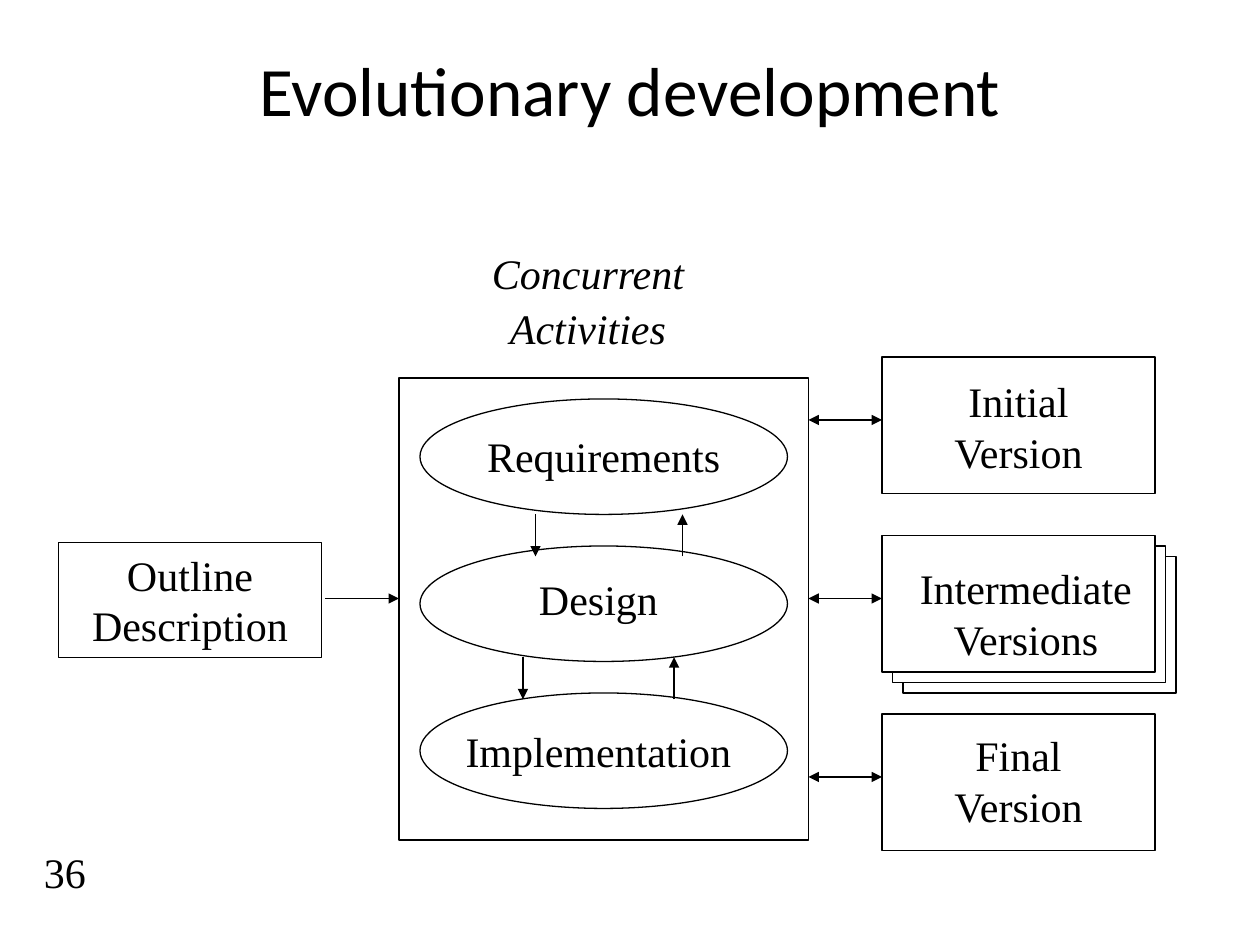
from lxml import etree
from pptx import Presentation
from pptx.dml.color import RGBColor
from pptx.enum.shapes import MSO_CONNECTOR, MSO_SHAPE
from pptx.enum.text import MSO_ANCHOR, PP_ALIGN
from pptx.oxml.ns import qn
from pptx.util import Pt

PX = 7620
BLACK = RGBColor(0, 0, 0)
WHITE = RGBColor(255, 255, 255)
SERIF, SANS = "Times New Roman", "Calibri"
RECT, OVAL = MSO_SHAPE.RECTANGLE, MSO_SHAPE.OVAL
STRAIGHT = MSO_CONNECTOR.STRAIGHT
LEFT, CENTER = PP_ALIGN.LEFT, PP_ALIGN.CENTER
TOP, MIDDLE = MSO_ANCHOR.TOP, MSO_ANCHOR.MIDDLE


def emu(*lengths):
    """Turn px lengths into EMU."""
    return [n * PX for n in lengths]


def write(sp, lines, size=24, font=SERIF, align=CENTER, anchor=TOP, italic=False, gap=0):
    """Fill a shape with one paragraph per line."""
    tf = sp.text_frame
    tf.word_wrap = True
    tf.vertical_anchor = anchor
    for i, line in enumerate(lines):
        p = tf.add_paragraph() if i else tf.paragraphs[0]
        p.text = line
        p.alignment = align
        p.font.size, p.font.name, p.font.italic = Pt(size), font, italic
        p.font.color.rgb = BLACK
        if i and gap:
            p.space_before = Pt(gap)


def label(s, box, lines, **style):
    """Add a text box."""
    write(s.shapes.add_textbox(*emu(*box)), lines, **style)


def outline(s, kind, box, fill=None):
    """Add a thin black outlined shape, filled or clear."""
    sp = s.shapes.add_shape(kind, *emu(*box))
    sp.shadow.inherit = False
    if fill is None:
        sp.fill.background()
    else:
        sp.fill.solid()
        sp.fill.fore_color.rgb = fill
    sp.line.color.rgb = BLACK
    sp.line.width = Pt(0.75)
    return sp


def arrow(s, x1, y1, x2, y2, both=False):
    """Draw an arrow to the second point, or one pointing both ways."""
    c = s.shapes.add_connector(STRAIGHT, *emu(x1, y1, x2, y2))
    c.line.color.rgb = BLACK
    c.line.width = Pt(0.75)
    ln = c.line._get_or_add_ln()
    for end in ("headEnd", "tailEnd") if both else ("tailEnd",):
        etree.SubElement(ln, qn(f"a:{end}"), type="triangle")
    etree.SubElement(c._element.spPr, qn("a:effectLst"))


def description(s, x, y, w, h):
    """Draw the outline description and its arrow to the activities."""
    write(outline(s, RECT, (x, y, w, h)), ["Outline", "Description"])
    arrow(s, x + w + 4, y + 53, x + w + 74, y + 53)


def activities(s, x, y, w, h):
    """Draw the concurrent activities and the arrows between them."""
    outline(s, RECT, (x, y, w, h))
    label(s, (x + 10, y - 130, 340, 113), ["Concurrent", "Activities"], italic=True, gap=2.4)
    steps = [("Requirements", 40, 44, 310), ("Design", 30, 180, 320), ("Implementation", 40, 325, 300)]
    for i, (name, dx, dy, width) in enumerate(steps):
        outline(s, OVAL, (x + 20, y + 20 + 140 * i, w - 40, 110))
        label(s, (x + dx, y + dy, width, 60), [name])
    for down, up, top in [(130, 270, 130), (118, 262, 266)]:
        arrow(s, x + down, y + top, x + down, y + top + 40)
        arrow(s, x + up, y + top + 40, x + up, y + top)


def versions(s, x, y, w, h):
    """Draw the three versions, the middle one stacked, with their arrows."""
    pitch = 170
    for shift in (20, 10):
        outline(s, RECT, (x + shift, y + pitch + shift, w, h), WHITE)
    texts = [
        (["Initial", "Version"], -20, 12, 300),
        (["Intermediate", "Versions"], -23, 20, 320),
        (["Final", "Version"], 10, 9, 240),
    ]
    for i, (lines, dx, dy, width) in enumerate(texts):
        top = y + pitch * i
        outline(s, RECT, (x, top, w, h), WHITE)
        label(s, (x + dx, top + dy, width, 108), lines)
        arrow(s, x - 70, top + 60, x, top + 60, both=True)


def main():
    """Build and save the slide."""
    prs = Presentation()
    prs.slide_width, prs.slide_height = emu(1200, 900)
    s = prs.slides.add_slide(prs.slide_layouts[6])
    label(s, (30, 800, 130, 60), ["36"], align=LEFT)
    label(s, (90, 50, 1020, 70), ["Evolutionary development"], size=39.6, font=SANS, anchor=MIDDLE)
    description(s, 56, 517, 250, 109)
    activities(s, 380, 360, 390, 440)
    versions(s, 840, 340, 260, 130)
    prs.save("out.pptx")


if __name__ == "__main__":
    main()
